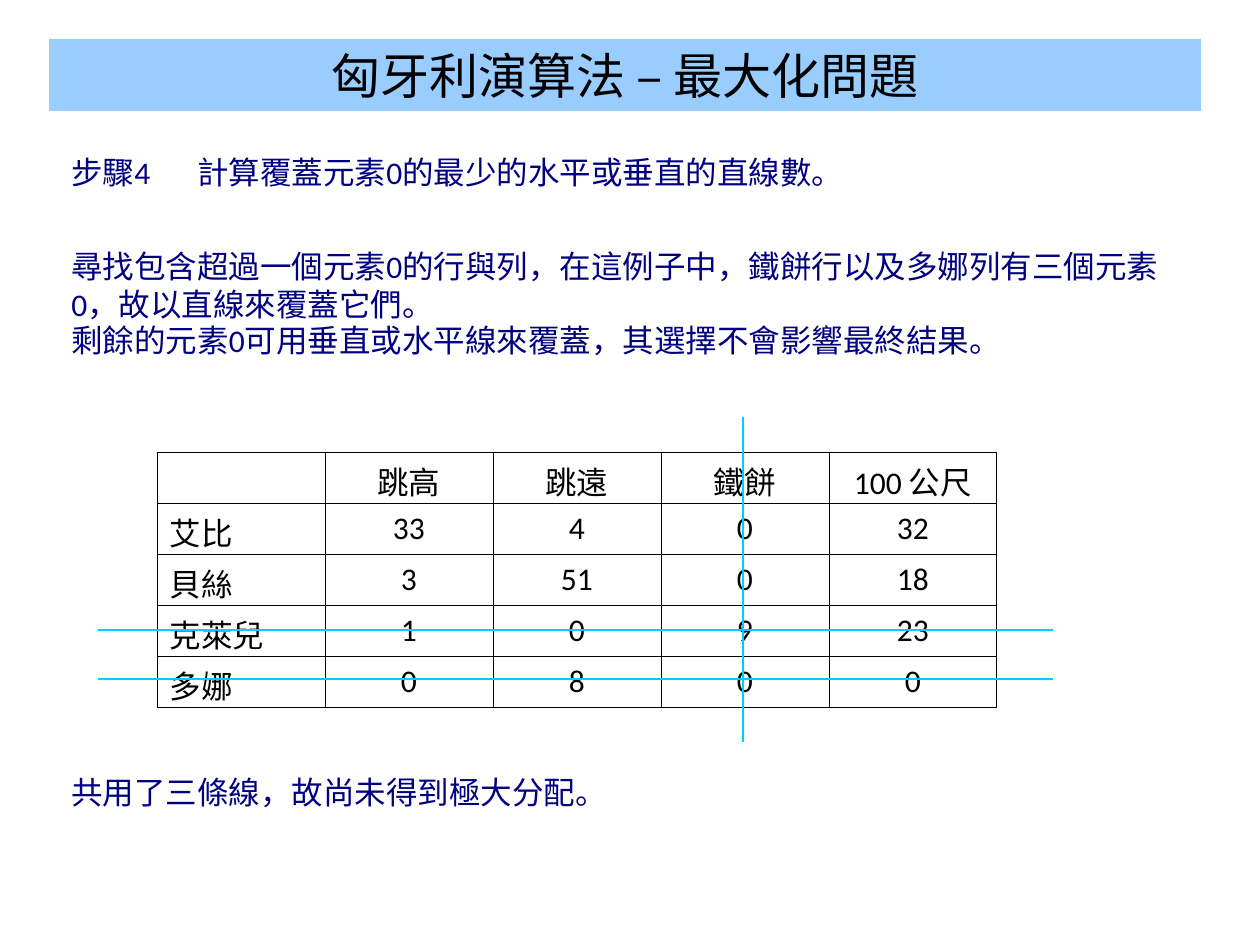
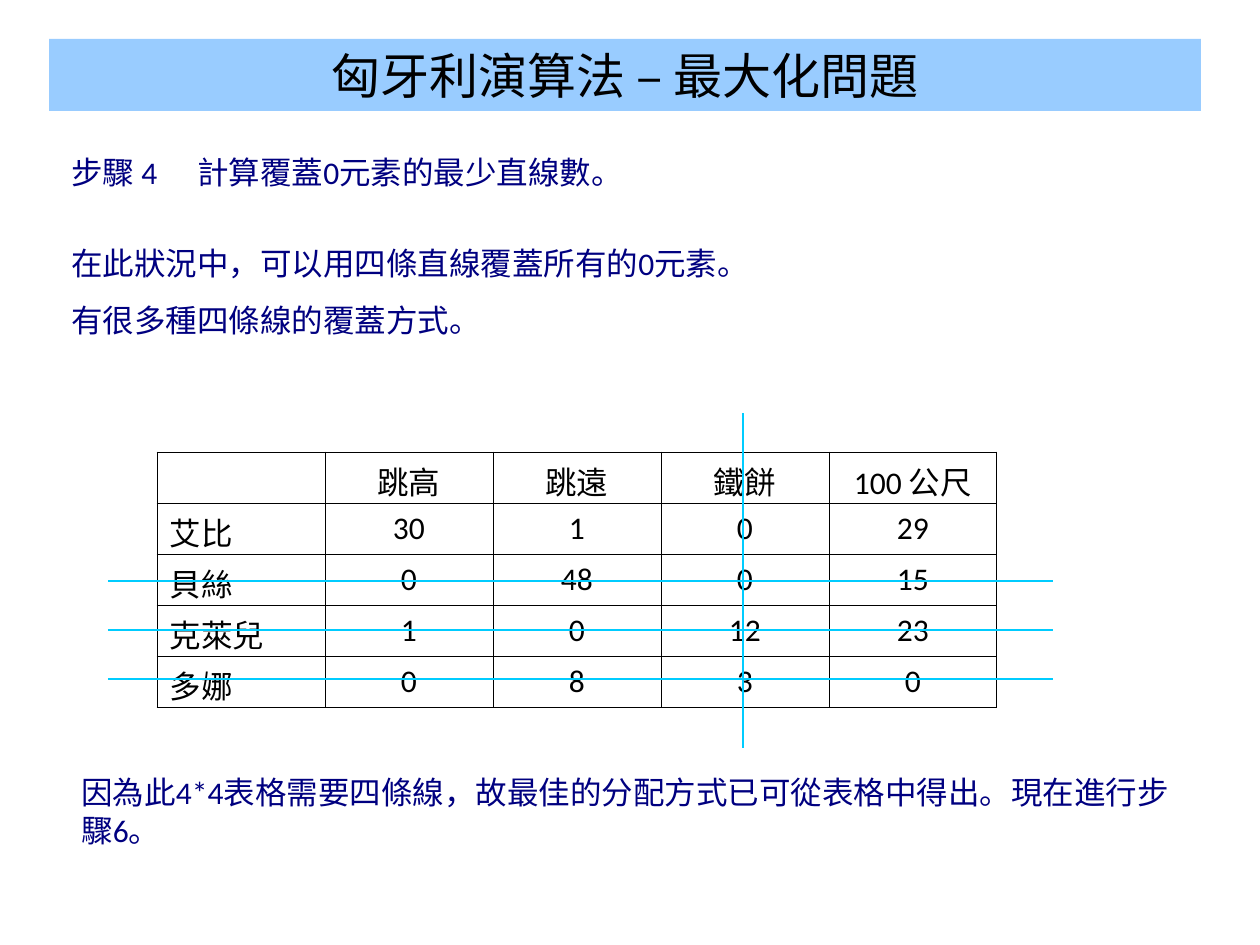
from lxml.etree import SubElement as Sub
from pptx import Presentation
from pptx.dml.color import RGBColor
from pptx.enum.shapes import MSO_CONNECTOR as Conn
from pptx.enum.text import MSO_ANCHOR as Anchor, MSO_AUTO_SIZE as Fit, PP_ALIGN as Align
from pptx.oxml.ns import qn
from pptx.util import Emu, Inches, Pt

BLACK = RGBColor(0x00, 0x00, 0x00)
WHITE = RGBColor(0xFF, 0xFF, 0xFF)
NAVY = RGBColor(0x00, 0x00, 0x80)
BAND = RGBColor(0x99, 0xCC, 0xFF)
CYAN = RGBColor(0x00, 0xCC, 0xFF)

FONT = "Calibri"
TITLE = "匈牙利演算法 – 最大化問題"
EVENTS = ["", "跳高", "跳遠", "鐵餅", "100 公尺"]
NAMES = ["艾比", "貝絲", "克萊兒", "多娜"]


def px(count):
    return Emu(round(count * 914400 / 126))


class Deck:
    def __init__(self):
        self.prs = Presentation()
        self.prs.slide_width, self.prs.slide_height = Inches(10), Inches(7.5)
        self.slide = None

    def style(self, para, size, color, align=Align.LEFT):
        para.alignment = align
        font = para.font
        font.name, font.size, font.color.rgb = FONT, Pt(size), color

    def page(self):
        self.slide = self.prs.slides.add_slide(self.prs.slide_layouts[5])
        title = self.slide.shapes.title
        title.left, title.top, title.width, title.height = map(px, (49, 39, 1152, 72))
        title.fill.solid()
        title.fill.fore_color.rgb = BAND
        frame = title.text_frame
        frame.text = TITLE
        frame.auto_size = Fit.NONE
        frame.vertical_anchor = Anchor.MIDDLE
        self.style(frame.paragraphs[0], 28, BLACK, Align.CENTER)

    def note(self, text, top, left=59, lines=1):
        box = self.slide.shapes.add_textbox(px(left), px(top), px(1113), px(13 + 37 * lines))
        frame = box.text_frame
        frame.word_wrap = True
        frame.auto_size = Fit.SHAPE_TO_FIT_TEXT
        para = frame.paragraphs[0]
        para.text = text
        if "\t" in text:
            tabs = Sub(para._p.get_or_add_pPr(), qn("a:tabLst"))
            Sub(tabs, qn("a:tab"), pos=str(Inches(1)), algn="l")
        self.style(para, 18, NAVY)

    def border(self, cell):
        props = cell._tc.get_or_add_tcPr()
        for side in ("lnL", "lnR", "lnT", "lnB"):
            line = Sub(props, qn(f"a:{side}"), w=str(Pt(0.45)))
            Sub(Sub(line, qn("a:solidFill")), qn("a:srgbClr"), val=str(BLACK))

    def table(self, scores):
        rows = [EVENTS] + [[name, *vals] for name, vals in zip(NAMES, scores)]
        wide, high = len(EVENTS), len(rows)
        grid = self.slide.shapes.add_table(
            high, wide, px(157), px(452), px(168 * wide), px(51 * high)).table
        grid.first_row = grid.horz_banding = False
        for r, row in enumerate(rows):
            for c, value in enumerate(row):
                cell = grid.cell(r, c)
                cell.text = str(value)
                self.border(cell)
                cell.fill.solid()
                cell.fill.fore_color.rgb = WHITE
                self.style(cell.text_frame.paragraphs[0], 18, BLACK,
                           Align.CENTER if c else Align.LEFT)

    def line(self, x1, y1, x2, y2):
        line = self.slide.shapes.add_connector(Conn.STRAIGHT, *map(px, (x1, y1, x2, y2)))
        line.line.color.rgb = CYAN
        line.line.width = Pt(1.5)
        Sub(line._element.spPr, qn("a:effectLst"))

    def cover(self, rows, left, top, end):
        for row in rows:
            y = 483 + 49 * row
            self.line(left, y, 1053, y)
        self.line(743, top, 743, end)


def main():
    deck = Deck()

    deck.page()
    deck.note("步驟4\t計算覆蓋元素0的最少的水平或垂直的直線數。", 147)
    deck.note("尋找包含超過一個元素0的行與列，在這例子中，鐵餅行以及多娜列有三個元素0，故以直線來覆蓋它們。",
              241, lines=2)
    deck.note("剩餘的元素0可用垂直或水平線來覆蓋，其選擇不會影響最終結果。", 315)
    deck.table([(33, 4, 0, 32), (3, 51, 0, 18), (1, 0, 9, 23), (0, 8, 0, 0)])
    deck.cover((3, 4), 98, 417, 742)
    deck.note("共用了三條線，故尚未得到極大分配。", 767)

    deck.page()
    deck.note("步驟 4\t計算覆蓋0元素的最少直線數。", 147)
    deck.note("在此狀況中，可以用四條直線覆蓋所有的0元素。", 238)
    deck.note("有很多種四條線的覆蓋方式。", 295)
    deck.table([(30, 1, 0, 29), (0, 48, 0, 15), (1, 0, 12, 23), (0, 8, 3, 0)])
    deck.cover((2, 3, 4), 108, 413, 748)
    deck.note("因為此4*4表格需要四條線，故最佳的分配方式已可從表格中得出。現在進行步驟6。",
              767, left=69, lines=2)

    deck.prs.save("out.pptx")


if __name__ == "__main__":
    main()
